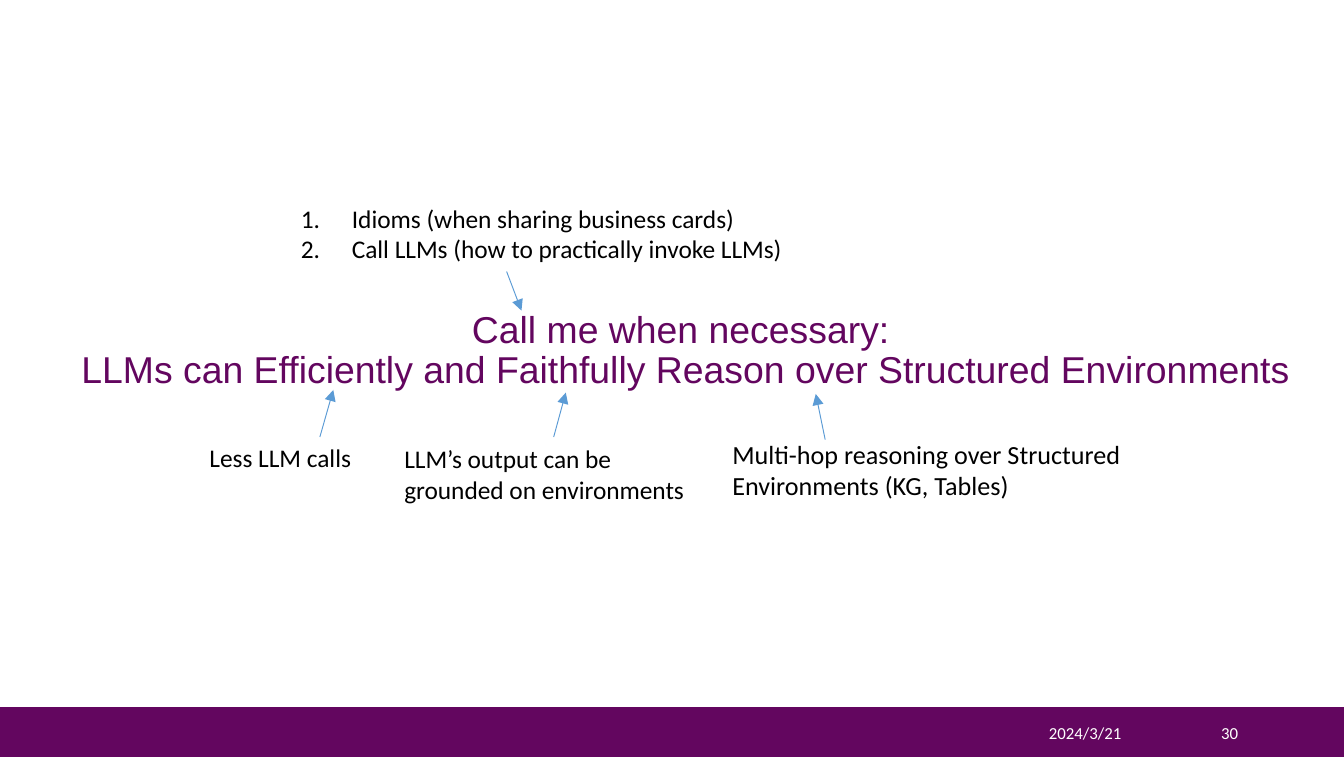
"""Build a slide that explains each phrase of a paper title with arrowed notes."""
from lxml.etree import SubElement
from pptx import Presentation
from pptx.dml.color import RGBColor
from pptx.enum.shapes import MSO_CONNECTOR as Conn, MSO_SHAPE as Shape
from pptx.enum.text import MSO_ANCHOR as Anchor, MSO_AUTO_SIZE as AutoSize, PP_ALIGN as Align
from pptx.oxml.ns import qn
from pptx.util import Inches, Pt

THEME = {
    "purple": RGBColor.from_string("63065F"),
    "blue": RGBColor.from_string("5B9BD5"),
    "black": RGBColor.from_string("000000"),
    "white": RGBColor.from_string("FFFFFF"),
    "head": "Arial", "body": "Calibri",
    "title": 20, "note": 13.6, "note_large": 14, "footer": 9, "arrow": 0.5,
}
SIZE = (10, 5.63)
BAR_HEIGHT = 0.37
LIST_INDENT = 0.38
TITLE_BOX = (0.41, 2.17, 9.39, 0.89)
TITLE = ["Call me when necessary: ",
         "LLMs can Efficiently and Faithfully Reason over Structured Environments"]
FOOTER = [
    ("2024/3/21", (7.39, 5.3, 1.37, 0.3), Align.CENTER),
    ("30", (8.76, 5.3, 0.55, 0.3), Align.RIGHT),
]
NOTES = [
    {"lines": ["Idioms (when sharing business cards)",
               "Call LLMs (how to practically invoke LLMs)"],
     "numbered": True, "box": (2.14, 1.46, 5.13, 0.56), "size": "note",
     "arrow": (3.77, 2.02, 3.88, 2.31)},
    {"lines": ["Less LLM calls"],
     "numbered": False, "box": (1.46, 3.24, 2.07, 0.33), "size": "note",
     "arrow": (2.38, 3.25, 2.48, 2.9)},
    {"lines": ["LLM’s output can be grounded on environments"],
     "numbered": False, "box": (2.91, 3.25, 2.41, 0.56), "size": "note",
     "arrow": (4.12, 3.25, 4.21, 2.92)},
    {"lines": ["Multi-hop reasoning over Structured Environments (KG, Tables)"],
     "numbered": False, "box": (5.35, 3.21, 3.41, 0.57), "size": "note_large",
     "arrow": (6.14, 3.27, 6.07, 2.93)},
]


def inches(values):
    return [Inches(v) for v in values]


def add_run(p, text, font, size, color):
    r = p.add_run()
    r.text = text
    r.font.name = THEME[font]
    r.font.size = Pt(THEME[size])
    r.font.color.rgb = THEME[color]


def number(p):
    pPr = p._p.get_or_add_pPr()
    pPr.set("marL", str(Inches(LIST_INDENT)))
    pPr.set("indent", str(-Inches(LIST_INDENT)))
    SubElement(pPr, qn("a:buFont")).set("typeface", "+mj-lt")
    SubElement(pPr, qn("a:buAutoNum")).set("type", "arabicPeriod")


def add_text(s, box, lines, size, color, align=Align.LEFT, anchor=Anchor.TOP, numbered=False):
    tf = s.shapes.add_textbox(*inches(box)).text_frame
    tf.word_wrap = True
    tf.vertical_anchor = anchor
    for i, line in enumerate(lines):
        p = tf.add_paragraph() if i else tf.paragraphs[0]
        p.alignment = align
        if numbered:
            number(p)
        add_run(p, line, "body", size, color)


def add_arrow(s, ends):
    arrow = s.shapes.add_connector(Conn.STRAIGHT, *inches(ends))
    arrow.line.color.rgb = THEME["blue"]
    arrow.line.width = Pt(THEME["arrow"])
    SubElement(arrow.line._get_or_add_ln(), qn("a:tailEnd")).set("type", "triangle")
    SubElement(arrow._element.spPr, qn("a:effectLst"))


def add_footer(s):
    width, height = SIZE
    bar = s.shapes.add_shape(
        Shape.RECTANGLE, *inches((0, height - BAR_HEIGHT, width, BAR_HEIGHT)))
    bar.shadow.inherit = False
    bar.fill.solid()
    bar.fill.fore_color.rgb = THEME["purple"]
    bar.line.fill.background()
    for text, box, align in FOOTER:
        add_text(s, box, [text], "footer", "white", align, Anchor.MIDDLE)


def set_title(s):
    sp = s.shapes.title
    sp.left, sp.top, sp.width, sp.height = inches(TITLE_BOX)
    tf = sp.text_frame
    tf.word_wrap = True
    tf.auto_size = AutoSize.NONE
    tf.vertical_anchor = Anchor.MIDDLE
    p = tf.paragraphs[0]
    p.alignment = Align.CENTER
    p.line_spacing = 0.9
    for i, line in enumerate(TITLE):
        if i:
            p.add_line_break()
        add_run(p, line, "head", "title", "purple")


def main():
    prs = Presentation()
    prs.slide_width, prs.slide_height = inches(SIZE)
    s = prs.slides.add_slide(prs.slide_layouts[5])
    add_footer(s)
    set_title(s)
    for note in NOTES:
        add_text(s, note["box"], note["lines"], note["size"], "black",
                 numbered=note["numbered"])
        add_arrow(s, note["arrow"])
    prs.save("out.pptx")


if __name__ == "__main__":
    main()
